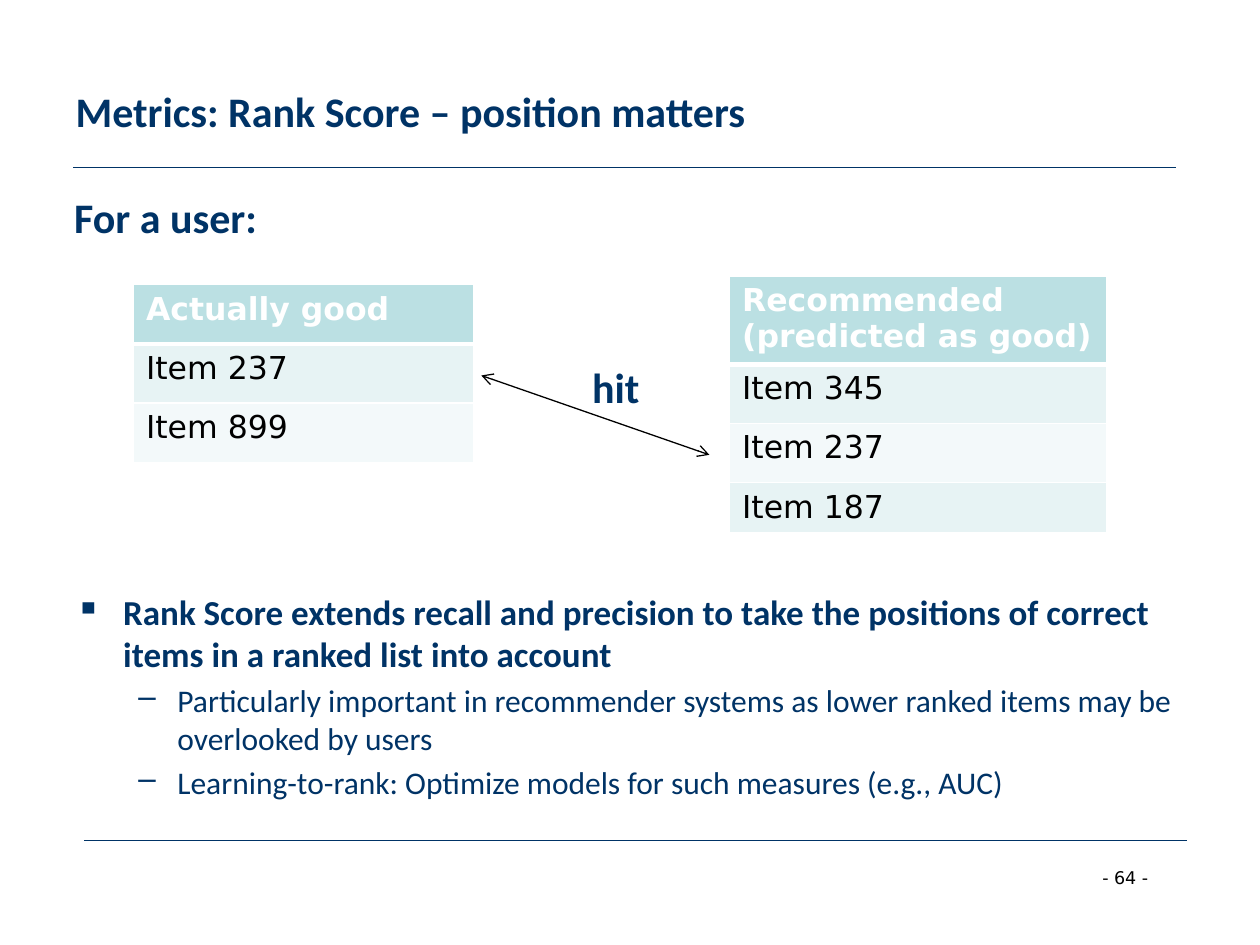
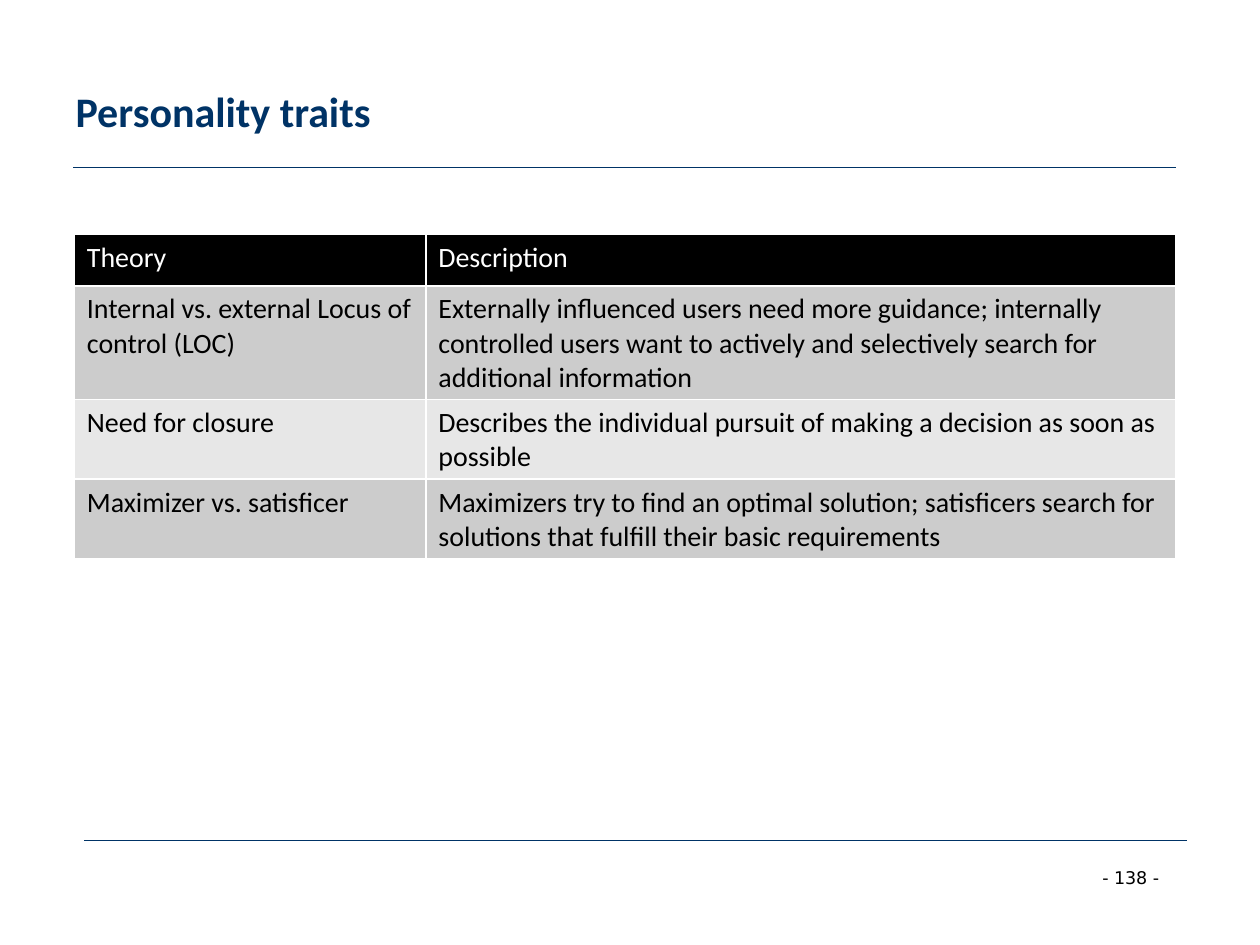
from lxml import etree
from pptx import Presentation
from pptx.dml.color import RGBColor
from pptx.enum.shapes import MSO_CONNECTOR
from pptx.enum.text import MSO_ANCHOR, PP_ALIGN
from pptx.oxml import parse_xml
from pptx.oxml.ns import nsdecls, qn
from pptx.util import Inches, Pt

NAVY, BLACK, WHITE = "003366", "000000", "FFFFFF"
TEAL_FILLS = ("BBE0E3", "E7F3F4", "F3F9FA")
GRAY_FILLS = (BLACK, "CCCCCC", "E7E7E7")

RANK_TITLE = "Metrics: Rank Score – position matters"
TRAITS_TITLE = "Personality traits"
PAGES = [(RANK_TITLE, "- 64 -"), (TRAITS_TITLE, "- 138 -")]

# left, top, column widths, row heights, rows, fills, font, size, bold header, header rule
TABLES = {
    RANK_TITLE: [
        (1.06, 2.26, [2.7], [0.47] * 3,
         [["Actually good"], ["Item 237"], ["Item 899"]],
         TEAL_FILLS, "DejaVu Sans", 18, True, 3),
        (5.79, 2.19, [2.99], [0.47, 0.47, 0.47, 0.39],
         [["Recommended\n(predicted as good)"], ["Item 345"], ["Item 237"], ["Item 187"]],
         TEAL_FILLS, "DejaVu Sans", 18, True, 3),
    ],
    TRAITS_TITLE: [
        (0.59, 1.86, [2.79, 5.95], [0.41] * 4,
         [["Theory", "Description"],
          ["Internal vs. external Locus of control (LOC)",
           "Externally influenced users need more guidance; internally controlled users "
           "want to actively and selectively search for additional information"],
          ["Need for closure",
           "Describes the individual pursuit of making a decision as soon as possible"],
          ["Maximizer vs. satisficer",
           "Maximizers try to find an optimal solution; satisficers search for solutions "
           "that fulfill their basic requirements"]],
         GRAY_FILLS, "Calibri", 16, False, 1),
    ],
}

# left, top, width, height, text, size, font, colour, bold
LABELS = {
    RANK_TITLE: [
        (0.49, 1.47, 1.67, 0.5, "For a user:", 24, "Calibri", NAVY, True),
        (4.6, 2.82, 0.58, 0.5, "hit", 24, "Calibri", NAVY, True),
    ],
    TRAITS_TITLE: [],
}

# text, size, bold, left margin, indent, bullet
BULLETS = [
    ("Rank Score extends recall and precision to take the positions of correct items "
     "in a ranked list into account", 20, True, 0.38, -0.38, "▪"),
    ("Particularly important in recommender systems as lower ranked items may be "
     "overlooked by users", 18, False, 0.81, -0.31, "–"),
    ("Learning-to-rank: Optimize models for such measures (e.g., AUC)",
     18, False, 0.81, -0.31, "–"),
]


def add_run(paragraph, text, size, font, colour, bold=False):
    run = paragraph.add_run()
    run.text = text
    run.font.size = Pt(size)
    run.font.name = font
    run.font.bold = bold
    run.font.color.rgb = RGBColor.from_string(colour)


def add_line(slide, start, end, colour):
    line = slide.shapes.add_connector(
        MSO_CONNECTOR.STRAIGHT, *(Inches(value) for value in start + end))
    line.line.color.rgb = RGBColor.from_string(colour)
    line.line.width = Pt(0.75)
    etree.SubElement(line._element.spPr, qn("a:effectLst"))
    return line


presentation = Presentation()
presentation.slide_width, presentation.slide_height = Inches(10), Inches(7.5)
slides = {}

for title_text, page_number in PAGES:
    slide = presentation.slides.add_slide(presentation.slide_layouts[5])
    slides[title_text] = slide
    title = slide.shapes.title
    title.left, title.top = Inches(0.5), Inches(0.25)
    title.width, title.height = Inches(9), Inches(1.25)
    title.text_frame.vertical_anchor = MSO_ANCHOR.MIDDLE
    paragraph = title.text_frame.paragraphs[0]
    paragraph.alignment = PP_ALIGN.LEFT
    add_run(paragraph, title_text, 24, "Calibri", NAVY, True)

    add_line(slide, (0.58, 1.33), (9.33, 1.33), NAVY)
    add_line(slide, (0.67, 6.67), (9.42, 6.67), NAVY)

    page_label = (8.65, 6.83, 0.76, 0.27, page_number, 10, "DejaVu Sans", BLACK, False)
    for left, top, width, height, *run_style in [page_label] + LABELS[title_text]:
        label = slide.shapes.add_textbox(
            Inches(left), Inches(top), Inches(width), Inches(height))
        label.text_frame.word_wrap = False
        add_run(label.text_frame.paragraphs[0], *run_style)

    for (left, top, widths, heights, rows, fills, font, size,
         bold_header, header_rule) in TABLES[title_text]:
        table = slide.shapes.add_table(
            len(rows), len(widths), Inches(left), Inches(top),
            Inches(sum(widths)), Inches(sum(heights))).table
        for column, width in zip(table.columns, widths):
            column.width = Inches(width)
        for row_index, texts in enumerate(rows):
            table.rows[row_index].height = Inches(heights[row_index])
            is_header = row_index == 0
            fill = fills[0] if is_header else fills[2 - row_index % 2]
            rules = {"lnL": 1, "lnR": 1,
                     "lnT": header_rule if row_index == 1 else 1,
                     "lnB": header_rule if is_header else 1}
            for column_index, text in enumerate(texts):
                cell = table.cell(row_index, column_index)
                properties = cell._tc.get_or_add_tcPr()
                for tag, points in rules.items():
                    properties.append(parse_xml(
                        f'<a:{tag} {nsdecls("a")} w="{Pt(points)}"><a:solidFill>'
                        f'<a:srgbClr val="{WHITE}"/></a:solidFill></a:{tag}>'))
                cell.fill.solid()
                cell.fill.fore_color.rgb = RGBColor.from_string(fill)
                for line_index, line_text in enumerate(text.split("\n")):
                    frame = cell.text_frame
                    paragraph = frame.add_paragraph() if line_index else frame.paragraphs[0]
                    add_run(paragraph, line_text, size, font,
                            WHITE if is_header else BLACK, is_header and bold_header)

rank_slide = slides[RANK_TITLE]
hit_arrow = add_line(rank_slide, (3.82, 2.98), (5.63, 3.61), BLACK)
for tag in ("a:headEnd", "a:tailEnd"):
    etree.SubElement(hit_arrow.line._get_or_add_ln(), qn(tag), type="arrow")

body = rank_slide.shapes.add_textbox(Inches(0.5), Inches(4.64), Inches(9), Inches(2.08))
body.text_frame.word_wrap = True
for index, (text, size, bold, margin, indent, bullet) in enumerate(BULLETS):
    paragraph = body.text_frame.add_paragraph() if index else body.text_frame.paragraphs[0]
    properties = paragraph._p.get_or_add_pPr()
    properties.set("marL", str(Inches(margin)))
    properties.set("indent", str(Inches(indent)))
    etree.SubElement(properties, qn("a:buChar"), char=bullet)
    if index:
        paragraph.space_before = Pt(size * 0.2)
    add_run(paragraph, text, size, "Calibri", NAVY, bold)

presentation.save("out.pptx")
